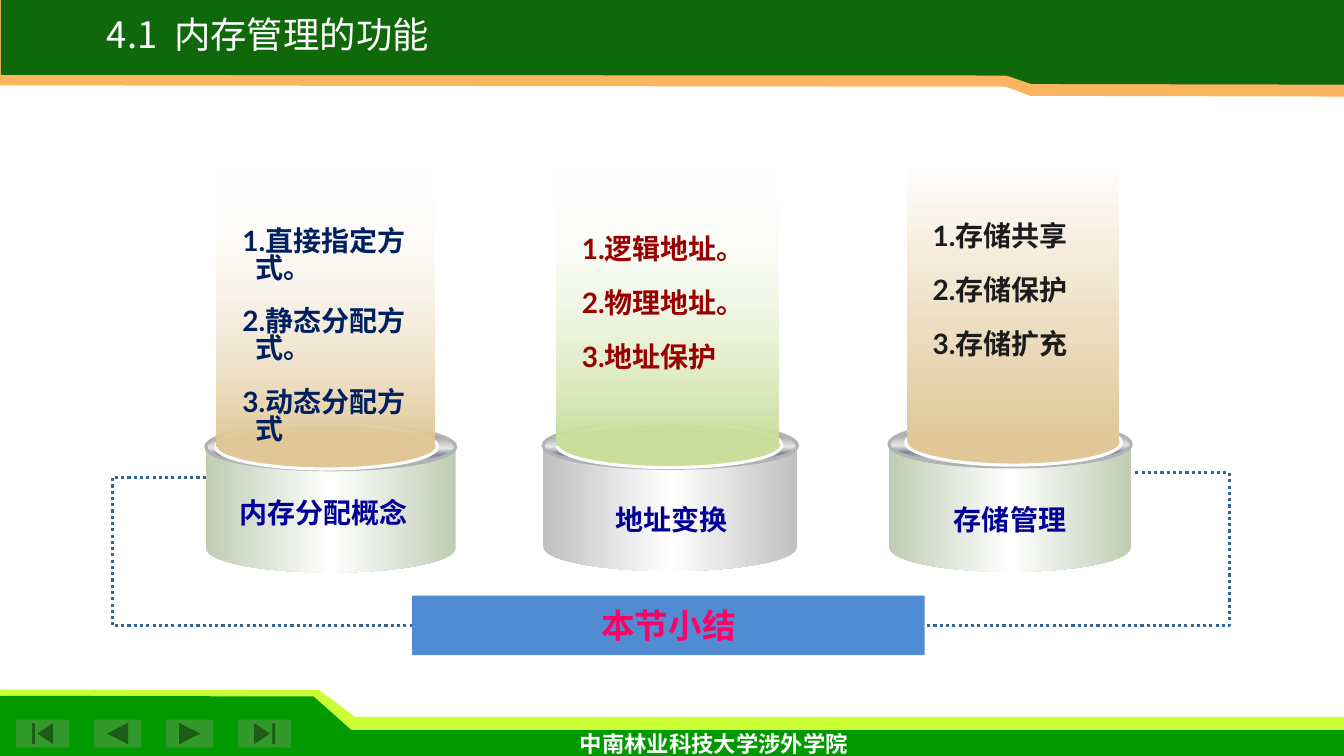
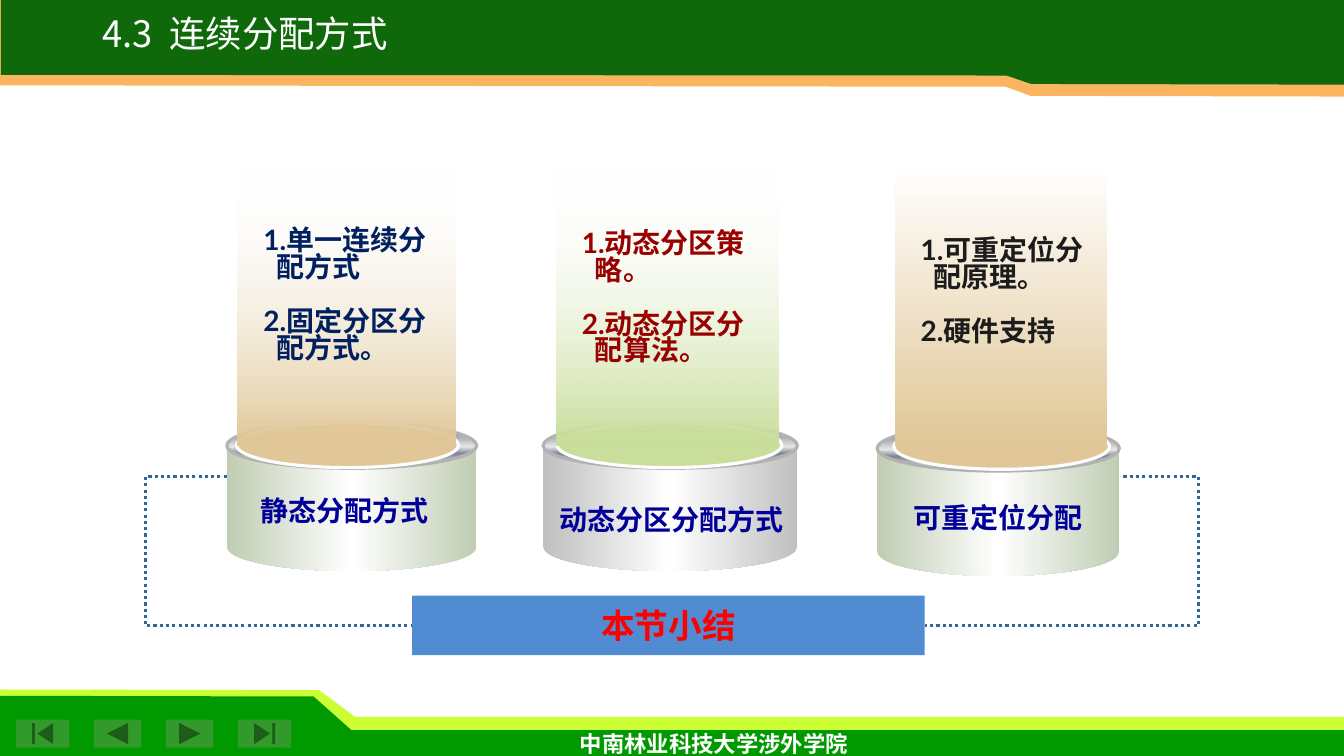
from lxml import etree
from pptx import Presentation
from pptx.dml.color import RGBColor
from pptx.enum.dml import MSO_LINE
from pptx.enum.shapes import MSO_CONNECTOR, MSO_SHAPE
from pptx.enum.text import MSO_ANCHOR, PP_ALIGN
from pptx.oxml.ns import qn
from pptx.util import Pt

RECT, OVAL, CAN = MSO_SHAPE.RECTANGLE, MSO_SHAPE.OVAL, MSO_SHAPE.CAN
ELBOW, DOTS = MSO_CONNECTOR.ELBOW, MSO_LINE.ROUND_DOT
CENTER, LEFT = PP_ALIGN.CENTER, PP_ALIGN.LEFT
TOP, MIDDLE = MSO_ANCHOR.TOP, MSO_ANCHOR.MIDDLE

WIDE, HIGH = 960, 540
LATIN, ASIAN, HEAD = "Arial", "Lato", "Noto Sans CJK SC"
COLORS = {
    "white": "FFFFFF", "lime": "CCFF33", "green": "009900", "button": "329A2A",
    "dark": "0F690B", "orange": "FBB561", "banner": "518CD3", "link": "336699",
    "sage": "C0CDB3", "gray": "C0C0C0", "tan": "E1C797", "leaf": "C9DE9A",
    "steel": "7D8496", "silver": "E6E6E6", "rim": "B2B2B2", "edge": "FEFEFE",
    "navy": "002060", "maroon": "990000", "black": "1C1C1C", "label": "000099",
    "pink": "FF0066", "red": "FF0000",
}
RING = [(0, "silver"), (15, "steel"), (53, "silver"), (68, "steel"),
        (93, "silver"), (100, "white")]

# Master bands: colour and outline
BANDS = [
    ("lime", [(0, 492.5), (228, 493), (253.5, 512), (WIDE, 512),
              (WIDE, 533), (0, 533)]),
    ("green", [(0, 497), (224, 497.5), (251, 521.5), (WIDE, 521.5),
               (WIDE, HIGH), (0, HIGH)]),
    ("orange", [(0, 0), (WIDE, 0), (WIDE, 69), (736, 68.5), (718.5, 62),
                (0, 61)]),
    ("dark", [(0.7, 0), (WIDE, 0), (WIDE, 60.5), (736.5, 60), (719, 54),
              (0.7, 53.5)]),
]
BUTTONS = [
    (MSO_SHAPE.ACTION_BUTTON_BEGINNING, 11.5, 38),
    (MSO_SHAPE.ACTION_BUTTON_BACK_OR_PREVIOUS, 67, 34),
    (MSO_SHAPE.ACTION_BUTTON_FORWARD_OR_NEXT, 118.5, 34),
    (MSO_SHAPE.ACTION_BUTTON_END, 170, 38),
]

# Drum styles; lid and beam are left, top, width, height from the can's corner
DRUMS = [
    {"size": (178.5, 108), "side": "sage", "pour": "tan", "ink": "navy",
     "lid": (7, 2, 158.5, 32), "beam": (8, -181, 155.5, 199),
     "alpha": 0, "shift": -5},
    {"size": (181.5, 108), "side": "gray", "pour": "leaf", "ink": "maroon",
     "lid": (10, 2, 160.5, 32), "beam": (9.5, -181, 158.5, 199),
     "alpha": 0, "shift": 1},
    {"size": (173, 109.5), "side": "sage", "pour": "tan", "ink": "black",
     "lid": (12, 0.7, 154, 32.5), "beam": (13, -185, 151, 201.5),
     "alpha": 100, "shift": 0},
]

# Each drum: can left, can top, list top, label top, label, items
# Each link: turn in x, top in y
SLIDES = [
    {"title": ("4.1", "内存管理的功能"), "box": (27, 11, 329, 33),
     "ink": "pink", "links": [(80, 341.3), (878, 337.7)],
     "drums": [
         (147, 301, 160.5, 350, "内存分配概念",
          ["直接指定方式。", "静态分配方式。", "动态分配方式"]),
         (388, 300, 166.5, 355.5, "地址变换",
          ["逻辑地址。", "物理地址。", "地址保护"]),
         (635, 299, 157, 355, "存储管理",
          ["存储共享", "存储保护", "存储扩充"])]},
    {"title": ("4.3", "连续分配方式"), "box": (42, 10, 266, 33),
     "ink": "red", "links": [(104, 340.5), (856, 340.5)],
     "drums": [
         (162, 300, 160, 349, "静态分配方式",
          ["单一连续分配方式", "固定分区分配方式。"]),
         (388, 300, 162, 355.5, "动态分区分配方式",
          ["动态分区策略。", "动态分区分配算法。"]),
         (626.5, 302, 167, 353.5, "可重定位分配",
          ["可重定位分配原理。", "硬件支持"])]},
]


def rgb(name):
    return RGBColor.from_string(COLORS[name])


def pts(*nums):
    return [Pt(n) for n in nums]


def paint(shape, fill, line=None):
    shape.shadow.inherit = False
    shape.fill.solid()
    shape.fill.fore_color.rgb = rgb(fill)
    if line:
        shape.line.color.rgb = rgb(line)
        shape.line.width = Pt(2.25)
    else:
        shape.line.fill.background()


def blend(shape, stops, angle, alpha=100):
    """Gradient fill; alpha is the opacity of the first stop in percent."""
    shape.fill.gradient()
    shape.fill.gradient_angle = angle
    group = shape._element.spPr.find(qn("a:gradFill")).find(qn("a:gsLst"))
    for old in list(group):
        group.remove(old)
    for i, (pos, name) in enumerate(stops):
        stop = etree.SubElement(group, qn("a:gs"), pos=str(pos * 1000))
        color = etree.SubElement(stop, qn("a:srgbClr"), val=COLORS[name])
        if i == 0 and alpha < 100:
            etree.SubElement(color, qn("a:alpha"), val=str(alpha * 1000))


def block(slide, kind, box, fill, line=None):
    shape = slide.shapes.add_shape(kind, *pts(*box))
    paint(shape, fill, line)
    return shape


def style(run, size, color, bold=True, latin=LATIN, asian=ASIAN):
    font = run.font
    font.size, font.bold, font.name = Pt(size), bold, latin
    font.color.rgb = rgb(color)
    etree.SubElement(run._r.get_or_add_rPr(), qn("a:ea"), typeface=asian)


def write(shape, lines, size, color, align=CENTER, anchor=MIDDLE, latin=LATIN):
    frame = shape.text_frame
    frame.word_wrap, frame.vertical_anchor = True, anchor
    frame.text = "\n".join(lines)
    for para in frame.paragraphs:
        para.alignment = align
        for run in para.runs:
            style(run, size, color, latin=latin)
    return frame


def label(slide, box, lines, size, color, **opts):
    return write(slide.shapes.add_textbox(*pts(*box)), lines, size, color,
                 **opts)


def listing(slide, box, items, color):
    frame = label(slide, box, items, 20, color, align=LEFT, anchor=TOP)
    for para in frame.paragraphs:
        para.line_spacing, para.space_after = 0.8, Pt(19.3)
        props = para._p.get_or_add_pPr()
        props.set("marL", str(Pt(9.4)))
        props.set("indent", str(-Pt(9.4)))
        etree.SubElement(props, qn("a:buFont"), typeface="+mj-lt")
        etree.SubElement(props, qn("a:buAutoNum"), type="arabicPeriod")


def link(slide, start, end, turn):
    """Dotted elbow that runs out to x = turn and back."""
    line = slide.shapes.add_connector(ELBOW, *pts(*start, *end))
    line.line.color.rgb = rgb("link")
    line.line.width, line.line.dash_style = Pt(2.25), DOTS
    props = line._element.spPr
    etree.SubElement(props, qn("a:effectLst"))
    ratio = (turn - start[0]) / (end[0] - start[0])
    geom = props.find(qn("a:prstGeom"))
    guides = geom.find(qn("a:avLst"))
    if guides is None:
        guides = etree.SubElement(geom, qn("a:avLst"))
    etree.SubElement(guides, qn("a:gd"), name="adj1",
                     fmla=f"val {round(ratio * 100000)}")


def drum(slide, look, left, top, list_top, name_top, name, items):
    wide, high = look["size"]
    side, pour = look["side"], look["pour"]
    can = block(slide, CAN, (left, top, wide, high), side)
    can.adjustments[0] = 0.32
    blend(can, [(0, side), (50, "white"), (100, side)], 0)
    ring = block(slide, OVAL, (left, top + 2, wide, 32.5), "silver", "rim")
    blend(ring, RING, 270)
    # Lid and the beam of light above it
    x, y, w, h = look["lid"]
    block(slide, OVAL, (left + x, top + y, w, h), pour, "edge")
    x, y, w, h = look["beam"]
    beam = block(slide, RECT, (left + x, top + y, w, h), pour)
    blend(beam, [(0, "white"), (100, pour)], 270, look["alpha"])
    # Texts
    listing(slide, (left + x + 11, list_top, 146, 105), items, look["ink"])
    mid = left + wide / 2 + look["shift"]
    label(slide, (mid - 108, name_top, 216, 31.5), [name], 20, "label")


def heading(slide, number, name, box):
    title = slide.shapes.title
    title.left, title.top, title.width, title.height = pts(*box)
    frame = title.text_frame
    frame.word_wrap, frame.vertical_anchor = False, MIDDLE
    para = frame.paragraphs[0]
    para.alignment, para.line_spacing = CENTER, 0.8
    for text in (number, " ", name):
        run = para.add_run()
        run.text = text
        style(run, 26, "white", False, HEAD, HEAD)
        if text == " ":
            run._r.get_or_add_rPr().set("spc", "600")


def frame_up(slide, layout):
    """Draw the bands, buttons and footer, then move them to the layout."""
    for old in list(layout.placeholders)[1:]:
        layout.shapes._spTree.remove(old._element)
    for color, dots in BANDS:
        dots = [pts(*dot) for dot in dots]
        pen = slide.shapes.build_freeform(*dots[0])
        pen.add_line_segments(dots[1:], close=True)
        paint(pen.convert_to_shape(), color)
        if color == "green":
            for kind, left, wide in BUTTONS:
                block(slide, kind, (left, 514, wide, 20), "button")
    label(slide, (350, 517.5, 320, 27), ["中南林业科技大学涉外学院"], 16,
          "white", latin=ASIAN)
    for shape in list(slide.shapes):
        if not shape.is_placeholder:
            layout.shapes._spTree.append(shape._element)


def build(slide, data):
    heading(slide, *data["title"], data["box"])
    # Summary banner and its links to the outer drums
    banner = block(slide, RECT, (294.5, 425.5, 366, 42.5), "banner")
    write(banner, ["本节小结"], 24, data["ink"])
    drums = data["drums"]
    ends = drums[0][0], drums[-1][0] + DRUMS[-1]["size"][0] + 3
    for x, edge, (turn, y) in zip(ends, (294.5, 660.5), data["links"]):
        link(slide, (x, y), (edge, 447), turn)
    for look, args in zip(DRUMS, drums):
        drum(slide, look, *args)


def main():
    deck = Presentation()
    deck.slide_width, deck.slide_height = pts(WIDE, HIGH)
    layout = deck.slide_layouts.get_by_name("Title Only")
    for i, data in enumerate(SLIDES):
        slide = deck.slides.add_slide(layout)
        if i == 0:
            frame_up(slide, layout)
        build(slide, data)
    deck.save("out.pptx")


if __name__ == "__main__":
    main()
